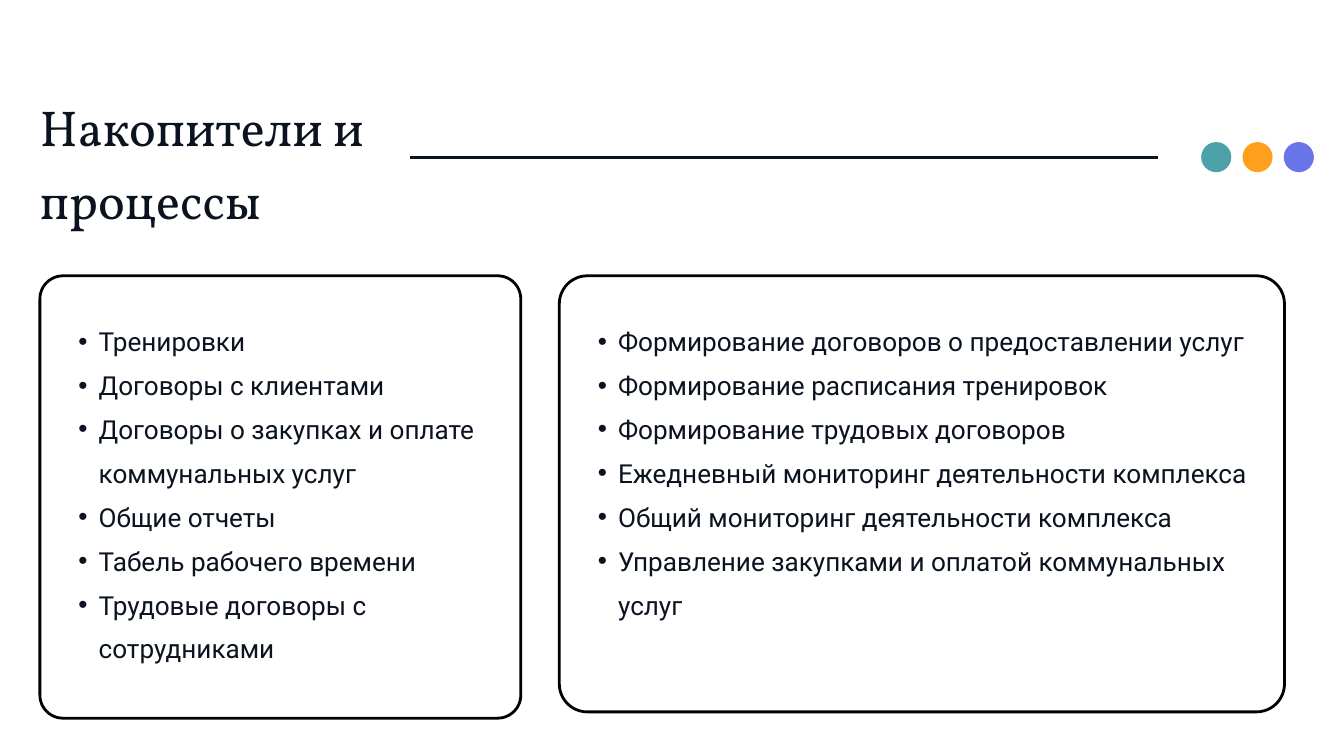
import dataclasses

import lxml.etree
import pptx
import pptx.dml.color
import pptx.enum.shapes
import pptx.enum.text
import pptx.oxml.ns
import pptx.util

EMU_PER_PX = 9525


@dataclasses.dataclass(frozen=True)
class Theme:
    ink: str = "0B1320"
    outline: str = "000000"
    dots: tuple = ("4DA1A9", "FF9F1C", "6874E8")
    title_font: str = "Vollkorn"
    body_font: str = "Roboto"
    title_size: int = 54
    body_size: int = 28
    line_width: int = 3


THEME = Theme()

STORES = (
    "Тренировки",
    "Договоры с клиентами",
    "Договоры о закупках и оплате коммунальных услуг",
    "Общие отчеты",
    "Табель рабочего времени",
    "Трудовые договоры с сотрудниками",
)
PROCESSES = (
    "Формирование договоров о предоставлении услуг",
    "Формирование расписания тренировок",
    "Формирование трудовых договоров",
    "Ежедневный мониторинг деятельности комплекса",
    "Общий мониторинг деятельности комплекса",
    "Управление закупками и оплатой коммунальных услуг",
)


def px(length):
    return pptx.util.Emu(length * EMU_PER_PX)


def color(code):
    return pptx.dml.color.RGBColor.from_string(code)


def prepare_frame(frame):
    """Wrap text from the top left corner, without insets."""
    frame.word_wrap = True
    frame.auto_size = pptx.enum.text.MSO_AUTO_SIZE.SHAPE_TO_FIT_TEXT
    frame.vertical_anchor = pptx.enum.text.MSO_ANCHOR.TOP
    frame.margin_left = frame.margin_right = 0
    frame.margin_top = frame.margin_bottom = 0


def add_run(paragraph, text, font, size, spacing):
    paragraph.alignment = pptx.enum.text.PP_ALIGN.LEFT
    paragraph.line_spacing = spacing
    run = paragraph.add_run()
    run.text = text
    run.font.name = font
    run.font.size = pptx.util.Pt(size)
    run.font.color.rgb = color(THEME.ink)


def set_bullet(paragraph):
    paragraph.level = 1
    properties = paragraph._p.get_or_add_pPr()
    properties.set("marL", str(px(57)))
    properties.set("indent", str(px(-29)))
    qn = pptx.oxml.ns.qn
    bullet_color = lxml.etree.SubElement(properties, qn("a:buClr"))
    lxml.etree.SubElement(bullet_color, qn("a:srgbClr"), val=THEME.ink)
    lxml.etree.SubElement(properties, qn("a:buFont"), typeface="Arial")
    lxml.etree.SubElement(properties, qn("a:buChar"), char="•")


def set_title(slide, text, left, top, width, height):
    title = slide.shapes.title
    title.left, title.top = px(left), px(top)
    title.width, title.height = px(width), px(height)
    prepare_frame(title.text_frame)
    add_run(title.text_frame.paragraphs[0], text,
            THEME.title_font, THEME.title_size, 1.2)


def add_rule(slide, left, right, y):
    line = slide.shapes.add_connector(
        pptx.enum.shapes.MSO_CONNECTOR.STRAIGHT, px(left), px(y), px(right), px(y))
    line.line.color.rgb = color(THEME.ink)
    line.line.width = pptx.util.Pt(THEME.line_width)
    lxml.etree.SubElement(line._element.spPr, pptx.oxml.ns.qn("a:effectLst"))


def add_dot(slide, left, top, size, fill):
    dot = slide.shapes.add_shape(
        pptx.enum.shapes.MSO_SHAPE.OVAL, px(left), px(top), px(size), px(size))
    dot.shadow.inherit = False
    dot.fill.solid()
    dot.fill.fore_color.rgb = color(fill)
    dot.line.fill.background()


def add_card(slide, left, top, width, height, radius):
    card = slide.shapes.add_shape(
        pptx.enum.shapes.MSO_SHAPE.ROUNDED_RECTANGLE,
        px(left), px(top), px(width), px(height))
    card.adjustments[0] = radius / min(width, height)
    card.shadow.inherit = False
    card.fill.background()
    card.line.color.rgb = color(THEME.outline)
    card.line.width = pptx.util.Pt(THEME.line_width)


def add_list(slide, items, left, top, width, height):
    box = slide.shapes.add_textbox(px(left), px(top), px(width), px(height))
    frame = box.text_frame
    prepare_frame(frame)
    for index, item in enumerate(items):
        paragraph = frame.add_paragraph() if index else frame.paragraphs[0]
        add_run(paragraph, item, THEME.body_font, THEME.body_size, 1.4)
        set_bullet(paragraph)


def main():
    presentation = pptx.Presentation()
    presentation.slide_width, presentation.slide_height = px(1920), px(1080)
    slide = presentation.slides.add_slide(
        presentation.slide_layouts.get_by_name("Title Only"))

    set_title(slide, "Накопители и процессы", 57, 120, 714, 209)
    add_rule(slide, 586, 1654, 225)
    for index, fill in enumerate(THEME.dots):
        add_dot(slide, 1716 + 59 * index, 203, 43, fill)

    card_top, list_top = 394, 447
    list_offset = 27
    cards = (
        (STORES, 57, 687, 632, 33, 687, 507),
        (PROCESSES, 799, 1036, 623, 40, 1013, 444),
    )
    for items, left, width, height, radius, list_width, list_height in cards:
        add_card(slide, left, card_top, width, height, radius)
        add_list(slide, items, left + list_offset, list_top, list_width, list_height)

    presentation.save("out.pptx")


if __name__ == "__main__":
    main()
